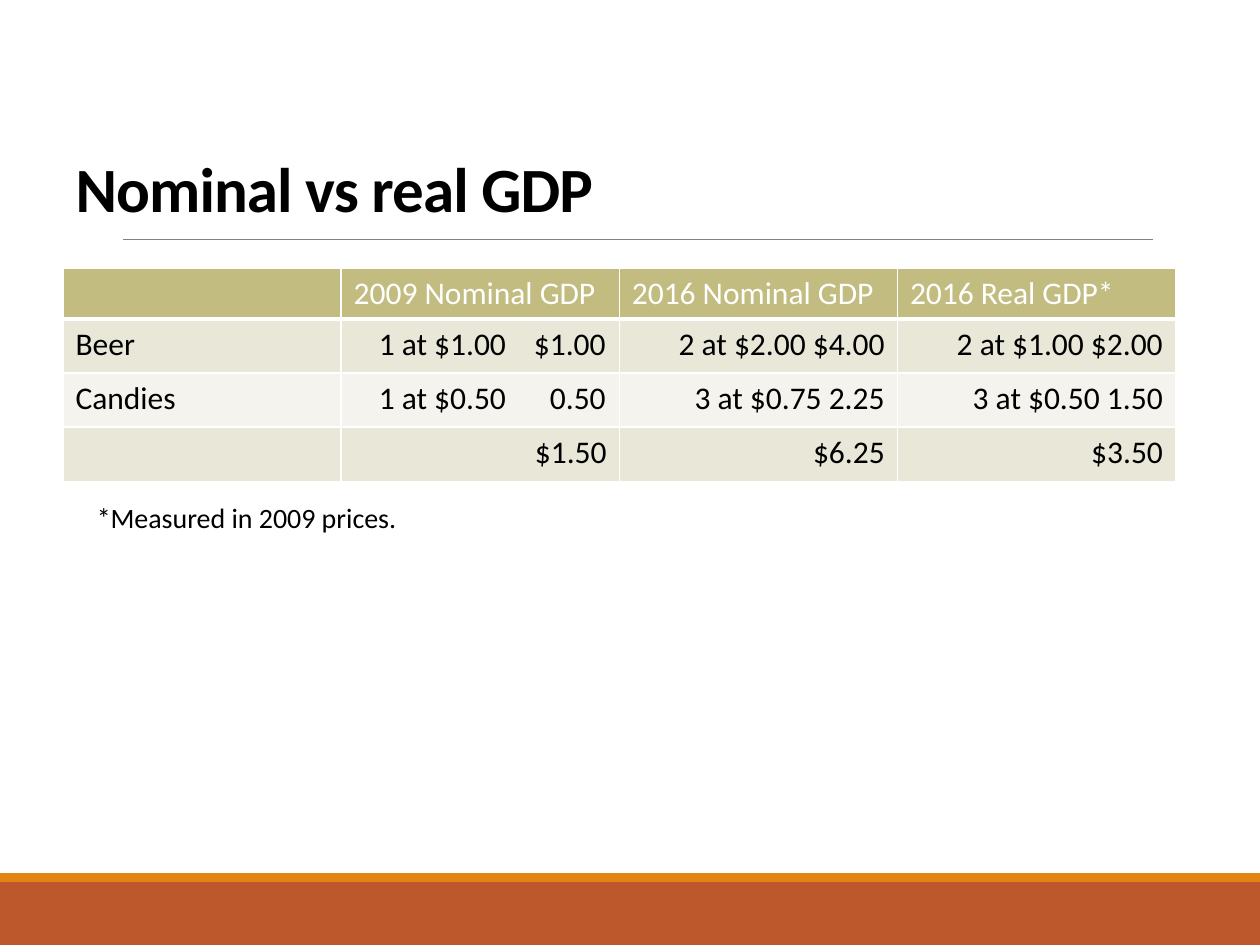
from dataclasses import dataclass

from lxml import etree
from pptx import Presentation
from pptx.dml.color import RGBColor
from pptx.enum.shapes import MSO_CONNECTOR, MSO_SHAPE
from pptx.enum.text import MSO_ANCHOR, MSO_AUTO_SIZE, PP_ALIGN
from pptx.oxml.ns import qn
from pptx.util import Inches, Pt

RECT = MSO_SHAPE.RECTANGLE
LINE = MSO_CONNECTOR.STRAIGHT
LEFT, RIGHT = PP_ALIGN.LEFT, PP_ALIGN.RIGHT
BOTTOM = MSO_ANCHOR.BOTTOM
FIXED = MSO_AUTO_SIZE.NONE

FONT = "Calibri"
COLORS = {
    "text": "000000",
    "white": "FFFFFF",
    "rust": "BD582C",
    "orange": "E48312",
    "rule": "808080",
    "head": "C2BC80",
    "dark": "E9E7D8",
    "light": "F4F3ED",
}


@dataclass
class Bar:
    top: float
    height: float
    color: str


@dataclass
class Row:
    cells: tuple
    height: float
    fill: str
    color: str = "text"
    base: int = 1  # width of the lower border in points


BARS = [Bar(7, 0.5, "rust"), Bar(6.93, 0.07, "orange")]
ROWS = [
    Row(("", "2009 Nominal GDP", "2016 Nominal GDP", "2016 Real GDP*"),
        0.4, "head", "white", 3),
    Row(("Beer", "\t1 at $1.00\t$1.00", "2 at $2.00 $4.00", "2 at $1.00 $2.00"),
        0.43, "dark"),
    Row(("Candies", "\t1 at $0.50\t0.50", "3 at $0.75 2.25", "3 at $0.50 1.50"),
        0.43, "light"),
    Row(("", "$1.50", "$6.25", "$3.50"), 0.43, "dark"),
]
TABS = (1.21, 2.0)  # right ends of quantity and amount
WIDTH = 8.83


def rgb(name: str) -> RGBColor:
    return RGBColor.from_string(COLORS[name])


def write(frame, text: str, size=18, color="text", bold=False, align=LEFT,
          line=None, space=None, tabs=()) -> None:
    para = frame.paragraphs[0]
    para.alignment = align
    if line:
        para.line_spacing = line
    if tabs:
        stops = etree.SubElement(para._p.get_or_add_pPr(), qn("a:tabLst"))
        for stop in tabs:
            etree.SubElement(stops, qn("a:tab"), pos=str(Inches(stop)), algn="r")
    run = para.add_run()
    run.text = text
    font = run.font
    font.name, font.size, font.bold = FONT, Pt(size), bold
    font.color.rgb = rgb(color)
    if space is not None:
        run._r.get_or_add_rPr().set("spc", str(int(space * 100)))


def add_bar(slide, bar: Bar) -> None:
    shape = slide.shapes.add_shape(
        RECT, 0, Inches(bar.top), Inches(10), Inches(bar.height))
    shape.shadow.inherit = False
    shape.fill.solid()
    shape.fill.fore_color.rgb = rgb(bar.color)
    shape.line.fill.background()


def add_rule(slide) -> None:
    rule = slide.shapes.add_connector(
        LINE, Inches(0.98), Inches(1.9), Inches(9.15), Inches(1.9))
    rule.line.color.rgb = rgb("rule")
    rule.line.width = Pt(0.5)
    etree.SubElement(rule._element.spPr, qn("a:effectLst"))


def set_edges(cell, base: int) -> None:
    """Draw white borders, the lower one base points wide."""
    props = cell._tc.get_or_add_tcPr()
    for spot, side in enumerate("LRTB"):
        width = base if side == "B" else 1
        edge = etree.Element(qn(f"a:ln{side}"), w=str(Pt(width)))
        fill = etree.SubElement(edge, qn("a:solidFill"))
        etree.SubElement(fill, qn("a:srgbClr"), val=COLORS["white"])
        props.insert(spot, edge)


def add_grid(slide) -> None:
    height = sum(row.height for row in ROWS)
    count = len(ROWS[0].cells)
    table = slide.shapes.add_table(
        len(ROWS), count, Inches(0.5), Inches(2.13),
        Inches(WIDTH), Inches(height)).table
    for col in table.columns:
        col.width = Inches(WIDTH / count)
    for r, row in enumerate(ROWS):
        table.rows[r].height = Inches(row.height)
        for c, text in enumerate(row.cells):
            cell = table.cell(r, c)
            cell.fill.solid()
            cell.fill.fore_color.rgb = rgb(row.fill)
            set_edges(cell, row.base)
            if text:
                tabs = TABS if "\t" in text else ()
                align = RIGHT if r and c and not tabs else LEFT
                write(cell.text_frame, text, color=row.color,
                      align=align, tabs=tabs)


def main() -> None:
    deck = Presentation()
    deck.slide_width, deck.slide_height = Inches(10), Inches(7.5)
    slide = deck.slides.add_slide(deck.slide_layouts[5])

    for bar in BARS:
        add_bar(slide, bar)
    add_rule(slide)

    title = slide.shapes.title
    title.left, title.top = Inches(0.5), Inches(0.25)
    title.width, title.height = Inches(9.5), Inches(1.59)
    frame = title.text_frame
    frame.auto_size = FIXED
    frame.vertical_anchor = BOTTOM
    write(frame, "Nominal vs real GDP", size=36, bold=True,
          line=0.85, space=-0.5)

    note = slide.shapes.add_textbox(
        Inches(0.67), Inches(3.92), Inches(5.83), Inches(0.37))
    note.text_frame.word_wrap = True
    write(note.text_frame, "*Measured in 2009 prices.", size=16)

    add_grid(slide)
    deck.save("out.pptx")


if __name__ == "__main__":
    main()
